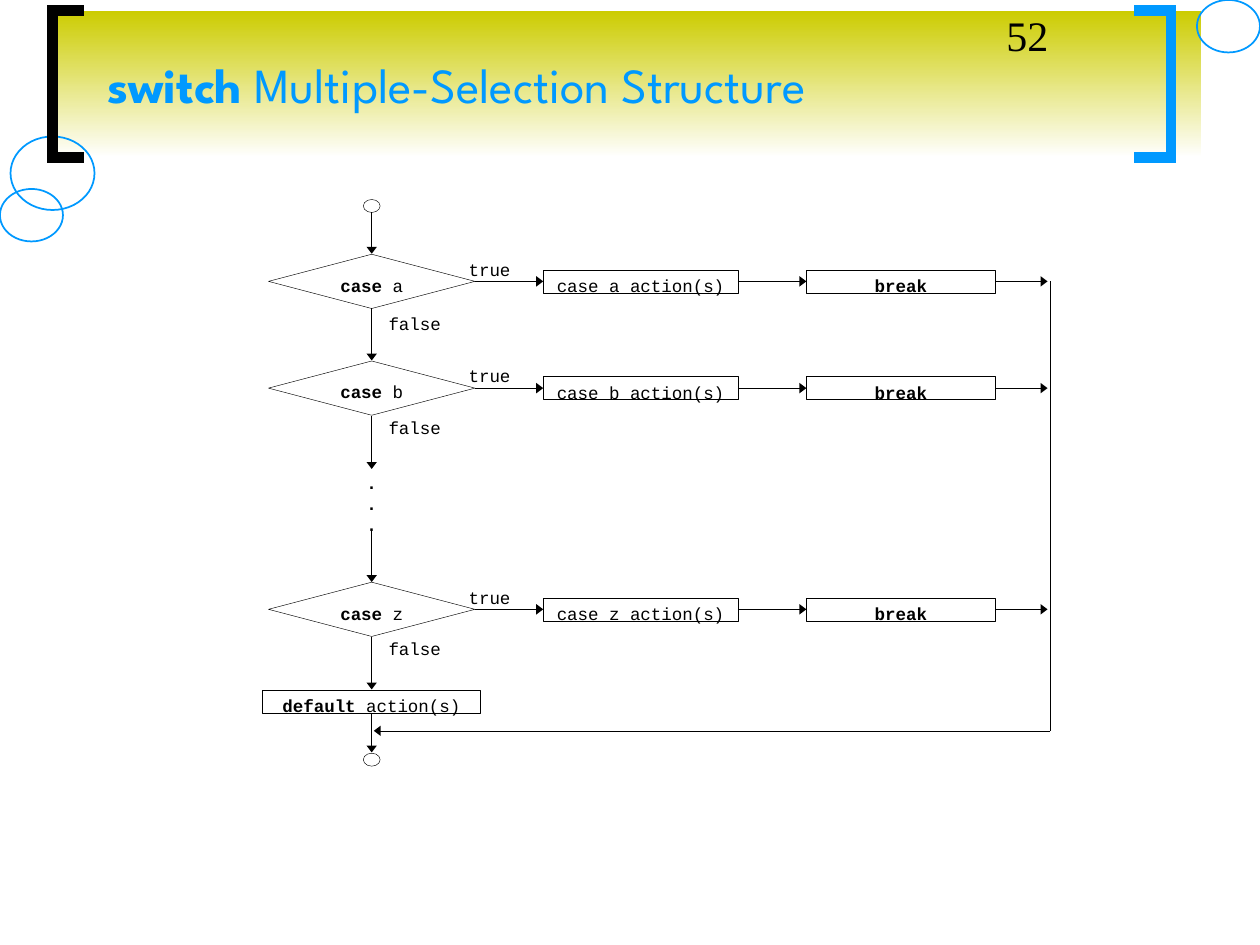
from dataclasses import dataclass

import pptx
import pptx.dml.color
import pptx.enum.shapes
import pptx.enum.text
import pptx.oxml
import pptx.oxml.ns
import pptx.util
from lxml import etree

Pt = pptx.util.Pt
SHAPE = pptx.enum.shapes.MSO_SHAPE
ANCHOR = pptx.enum.text.MSO_ANCHOR
ALIGN = pptx.enum.text.PP_ALIGN
qn = pptx.oxml.ns.qn

BLACK, WHITE, BLUE, OLIVE = "000000", "FFFFFF", "0099FF", "CCCC00"
HAIR = 0.25
MAIN_X = 212.4      # vertical flow
RETURN_X = 600      # line that collects every break
RETURN_Y = 417.6
DIAMOND_W, DIAMOND_H = 118, 31
BOX_H = 13.2
ACTION_X, ACTION_W = 310.4, 111.2
BREAK_X, BREAK_W = 460.8, 108


@dataclass
class Run:
    text: str
    bold: bool = False


@dataclass
class Case:
    name: str
    y: float
    false_y: float


CASES = [Case("a", 160.8, 178.6), Case("b", 221.8, 238.3), Case("z", 348.2, 364.3)]


def rgb(color: str) -> pptx.dml.color.RGBColor:
    return pptx.dml.color.RGBColor.from_string(color)


def set_line(line, color: str, width: float) -> None:
    line.color.rgb = rgb(color)
    line.width = Pt(width)


def add_run(p, run: Run, font: str, size: float, color: str) -> None:
    r = p.add_run()
    r.text = run.text
    r.font.name = font
    r.font.size = Pt(size)
    r.font.bold = run.bold
    r.font.color.rgb = rgb(color)


def write(tf, lines: list[list[Run]], align, top: float = 0) -> None:
    """Fill a frame with 10 pt Courier lines, starting `top` below its edge."""
    tf.word_wrap = True
    tf.vertical_anchor = ANCHOR.TOP
    tf.margin_left = tf.margin_right = tf.margin_bottom = 0
    tf.margin_top = Pt(top)
    for i, runs in enumerate(lines):
        p = tf.add_paragraph() if i else tf.paragraphs[0]
        p.alignment = align
        p.line_spacing = Pt(12)
        for run in runs:
            add_run(p, run, "Courier New", 10, BLACK)


def add_outline(s, kind, x: float, y: float, w: float, h: float,
                color: str = BLACK, width: float = HAIR):
    sp = s.shapes.add_shape(kind, Pt(x), Pt(y), Pt(w), Pt(h))
    sp.shadow.inherit = False
    sp.fill.background()
    set_line(sp.line, color, width)
    return sp


def add_label(s, x: float, y: float, w: float, h: float,
              lines: list[list[Run]], align=ALIGN.LEFT) -> None:
    tb = s.shapes.add_textbox(Pt(x), Pt(y), Pt(w), Pt(h))
    write(tb.text_frame, lines, align)


def add_box(s, x: float, y: float, w: float, runs: list[Run]) -> None:
    """Draw a process box centred on height y."""
    sp = add_outline(s, SHAPE.RECTANGLE, x, y - BOX_H / 2, w, BOX_H)
    write(sp.text_frame, [runs], ALIGN.CENTER, top=3)


def add_line(s, x1: float, y1: float, x2: float, y2: float, arrow: bool = True) -> None:
    cx = s.shapes.add_connector(pptx.enum.shapes.MSO_CONNECTOR.STRAIGHT,
                                Pt(x1), Pt(y1), Pt(x2), Pt(y2))
    set_line(cx.line, BLACK, HAIR)
    if arrow:
        etree.SubElement(cx.line._get_or_add_ln(), qn("a:tailEnd"),
                         type="triangle", w="med", len="sm")
    etree.SubElement(cx._element.spPr, qn("a:effectLst"))


def add_bracket(s, open_x: float, back_x: float, color: str) -> None:
    top, bottom = 6, 90
    fb = s.shapes.build_freeform(Pt(open_x), Pt(bottom))
    fb.add_line_segments([(Pt(back_x), Pt(bottom)), (Pt(back_x), Pt(top)),
                          (Pt(open_x), Pt(top))], close=False)
    sp = fb.convert_to_shape()
    sp.shadow.inherit = False
    sp.fill.background()
    set_line(sp.line, color, 6)
    etree.SubElement(sp.line._get_or_add_ln(), qn("a:miter"), lim="800000")


def add_header(s) -> None:
    band = add_outline(s, SHAPE.RECTANGLE, 30, 6, 656.5, 84)
    band.line.fill.background()
    band.fill.gradient()
    band.fill.gradient_angle = 90
    for stop, color in zip(band.fill.gradient_stops, (WHITE, OLIVE)):
        stop.color.rgb = rgb(color)

    add_outline(s, SHAPE.OVAL, 6, 78, 48, 42, BLUE, 1)
    add_bracket(s, 48, 30, BLACK)
    add_bracket(s, 648, 669, BLUE)
    for x, y in ((0, 108), (684, 0)):
        add_outline(s, SHAPE.OVAL, x, y, 36, 30, BLUE, 1)

    title = s.shapes.title
    s.shapes._spTree.append(title._element)  # bring in front of the band
    title.left, title.top, title.width, title.height = Pt(54), Pt(6), Pt(612), Pt(84)
    tf = title.text_frame
    tf.vertical_anchor = ANCHOR.MIDDLE
    p = tf.paragraphs[0]
    p.alignment = ALIGN.LEFT
    for run in (Run("switch", True), Run(" Multiple-Selection Structure")):
        add_run(p, run, "League Spartan", 28, BLUE)

    number = s.shapes.add_textbox(Pt(568), Pt(2), Pt(150), Pt(36))
    number.text_frame.word_wrap = True
    add_run(number.text_frame.paragraphs[0], Run("52"), "Times New Roman", 24, BLACK)


def add_case(s, case: Case) -> None:
    y = case.y
    sp = add_outline(s, SHAPE.DIAMOND, MAIN_X - DIAMOND_W / 2, y - DIAMOND_H / 2,
                     DIAMOND_W, DIAMOND_H)
    sp.fill.solid()
    sp.fill.fore_color.rgb = rgb(WHITE)
    write(sp.text_frame, [[Run("case", True), Run(f" {case.name}")]], ALIGN.CENTER, top=4)
    add_box(s, ACTION_X, y, ACTION_W, [Run(f"case {case.name} action(s)")])
    add_box(s, BREAK_X, y, BREAK_W, [Run("break", True)])
    for x1, x2 in ((MAIN_X + DIAMOND_W / 2, ACTION_X), (ACTION_X + ACTION_W, BREAK_X),
                   (BREAK_X + BREAK_W, RETURN_X - 1.4)):
        add_line(s, x1, y, x2, y)
    add_label(s, 267.8, y - 13, 34.6, 15, [[Run("true")]])
    add_label(s, 222, case.false_y, 42.5, 15, [[Run("false")]])


def main() -> None:
    prs = pptx.Presentation()
    prs.slide_width, prs.slide_height = Pt(720), Pt(540)
    s = prs.slides.add_slide(prs.slide_layouts[5])
    add_header(s)

    for y in (114, 430.4):
        add_outline(s, SHAPE.OVAL, MAIN_X - 4.8, y, 9.6, 7.4)
    for case in CASES:
        add_case(s, case)
    add_label(s, MAIN_X - 4.8, 270, 9.6, 36.7, [[Run(".", True)]] * 3, ALIGN.CENTER)
    add_box(s, 149.8, 400.8, 124.8, [Run("default", True), Run(" action(s)")])

    for y1, y2 in ((121.4, 145), (176, 206), (238, 268), (302.6, 332.6),
                   (363.8, 394), (407.4, 430)):
        add_line(s, MAIN_X, y1, MAIN_X, y2)
    add_line(s, RETURN_X, CASES[0].y, RETURN_X, RETURN_Y, arrow=False)
    add_line(s, RETURN_X, RETURN_Y, MAIN_X + 1.2, RETURN_Y)

    prs.save("out.pptx")


if __name__ == "__main__":
    main()
